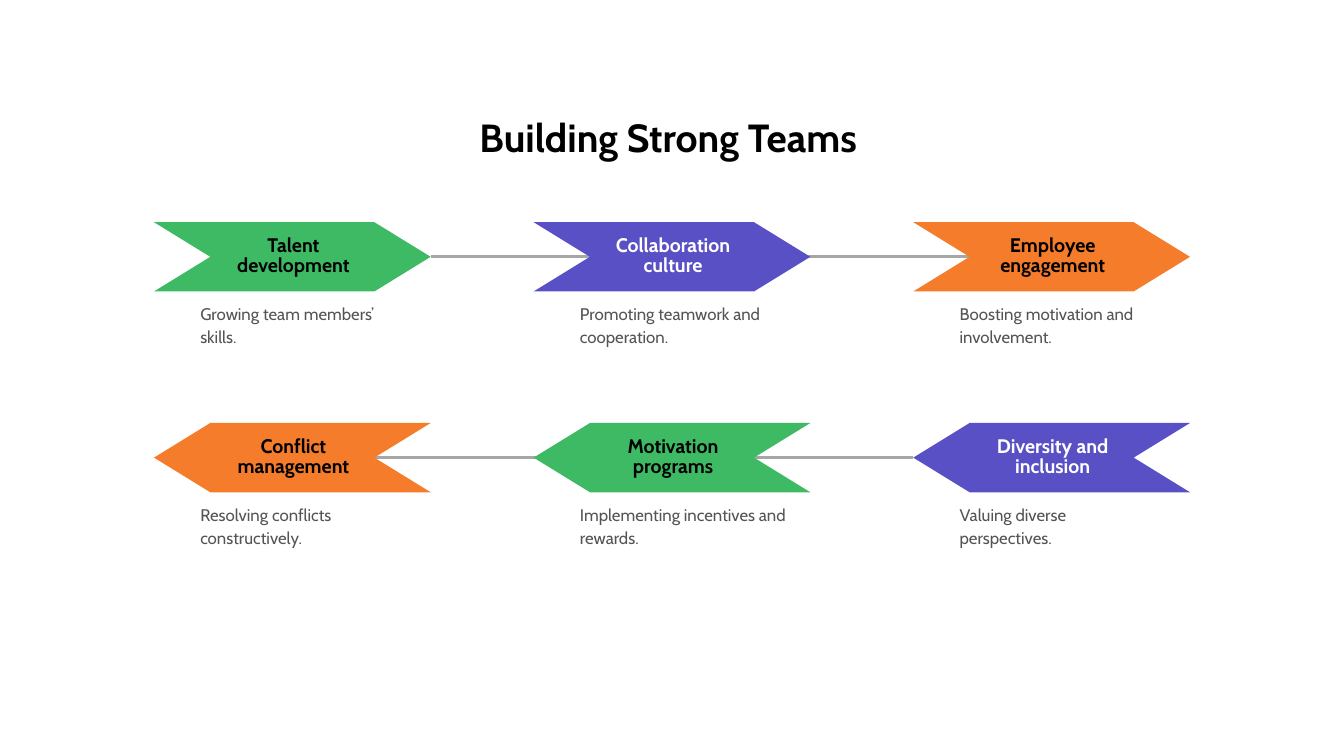
from dataclasses import dataclass

from lxml.etree import SubElement
from pptx import Presentation
from pptx.dml.color import RGBColor
from pptx.enum.shapes import MSO_CONNECTOR as Connector, MSO_SHAPE as Shape
from pptx.enum.text import MSO_ANCHOR as Anchor, MSO_AUTO_SIZE as AutoSize, PP_ALIGN as Align
from pptx.oxml.ns import qn
from pptx.util import Cm, Pt


@dataclass(frozen=True)
class Theme:
    font: str = "Cabin"
    green: str = "3FBA64"
    purple: str = "5950C5"
    orange: str = "F47C2A"
    black: str = "000000"
    white: str = "FFFFFF"
    gray: str = "545454"
    line: str = "A6A6A6"
    title_size: float = 42
    label_size: float = 21
    body_size: float = 18


theme = Theme()


def write_text(shape, text, *, size, color, spacing, bold=False, align=Align.LEFT):
    frame = shape.text_frame
    frame.word_wrap = True
    frame.auto_size = AutoSize.NONE
    frame.vertical_anchor = Anchor.TOP
    frame.margin_left = frame.margin_right = frame.margin_top = frame.margin_bottom = 0
    frame.text = text
    paragraph = frame.paragraphs[0]
    paragraph.alignment = align
    paragraph.line_spacing = Pt(spacing)
    paragraph.space_before = Pt(0)
    font = paragraph.runs[0].font
    font.name = theme.font
    font.size = Pt(size)
    font.bold = bold
    font.color.rgb = RGBColor.from_string(color)


presentation = Presentation()
presentation.slide_width = Cm(50.8)
presentation.slide_height = Cm(28.58)
slide = presentation.slides.add_slide(presentation.slide_layouts[5])

title = slide.shapes.title
title.left, title.top, title.width, title.height = Cm(14.04), Cm(3.99), Cm(22.43), Cm(1.98)
write_text(title, "Building Strong Teams", size=theme.title_size, color=theme.black,
           spacing=58.8, bold=True, align=Align.CENTER)

left, top = 5.82, 8.4
column_step, row_step = 14.35, 7.59
arrow_width, arrow_height, notch = 10.46, 2.62, 2.13

rows = [
    (0, arrow_width, [
        ("Talent development", "Growing team members’ skills.", theme.green, theme.black, 7.04),
        ("Collaboration culture", "Promoting teamwork and cooperation.", theme.purple, theme.white, 7.04),
        ("Employee engagement", "Boosting motivation and involvement.", theme.orange, theme.black, 7.04),
    ]),
    (180, arrow_width - notch, [
        ("Conflict management", "Resolving conflicts constructively.", theme.orange, theme.black, 7.04),
        ("Motivation programs", "Implementing incentives and rewards.", theme.green, theme.black, 7.85),
        ("Diversity and inclusion", "Valuing diverse perspectives.", theme.purple, theme.white, 7.04),
    ]),
]

for row, (rotation, line_offset, steps) in enumerate(rows):
    y = top + row * row_step
    middle = y + arrow_height / 2
    line_start = left + line_offset
    line_end = line_start + 2 * column_step - arrow_width + notch
    if rotation:
        line_end = left + 2 * column_step
    connector = slide.shapes.add_connector(
        Connector.STRAIGHT, Cm(line_start), Cm(middle), Cm(line_end), Cm(middle))
    connector.line.color.rgb = RGBColor.from_string(theme.line)
    connector.line.width = Pt(3)
    SubElement(connector.line._get_or_add_ln().getparent(), qn("a:effectLst"))

    for column, (label, description, fill, label_color, description_width) in enumerate(steps):
        x = left + column * column_step
        arrow = slide.shapes.add_shape(
            Shape.CHEVRON, Cm(x), Cm(y), Cm(arrow_width), Cm(arrow_height))
        arrow.adjustments[0] = notch / arrow_height
        arrow.rotation = rotation
        arrow.shadow.inherit = False
        arrow.fill.solid()
        arrow.fill.fore_color.rgb = RGBColor.from_string(fill)
        arrow.line.fill.background()

        label_box = slide.shapes.add_textbox(Cm(x + 2.44), Cm(y + 0.57), Cm(5.66), Cm(1.55))
        write_text(label_box, label, size=theme.label_size, color=label_color,
                   spacing=21, bold=True, align=Align.CENTER)

        description_box = slide.shapes.add_textbox(
            Cm(x + 1.75), Cm(y + 2.95), Cm(description_width), Cm(1.7))
        write_text(description_box, description, size=theme.body_size, color=theme.gray,
                   spacing=25.2)

presentation.save("out.pptx")
